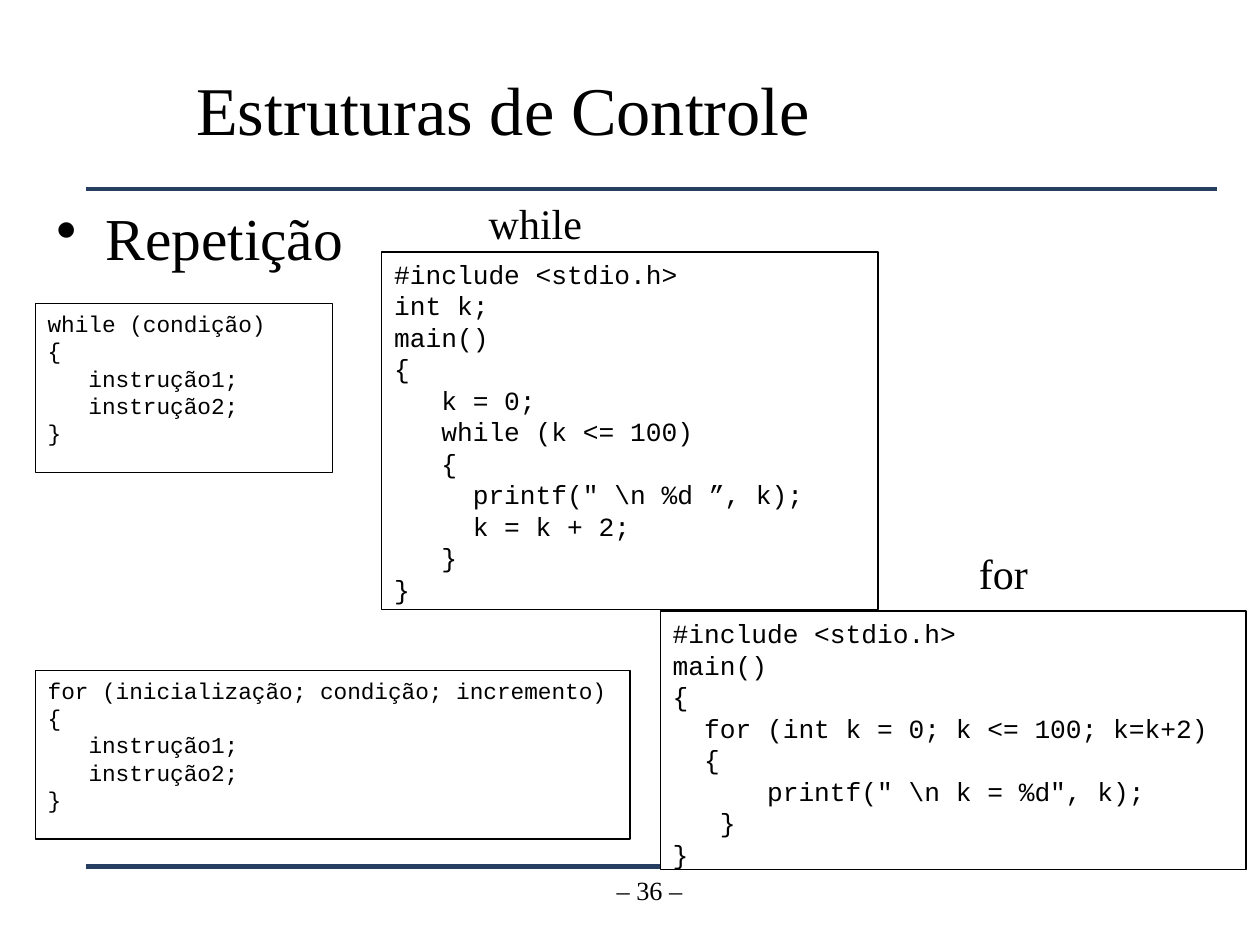
from pptx import Presentation
from pptx import util as u
from pptx.dml.color import RGBColor
from pptx.enum import shapes, text
from pptx.oxml.xmlchemy import OxmlElement

theme = {
    "ink": RGBColor(0, 0, 0), "paper": RGBColor(255, 255, 255),
    "rule": RGBColor(0x26, 0x3E, 0x60),
    "serif": "Times New Roman", "mono": "Courier New",
    "title": 39, "body": 34, "label": 24, "code": 15, "form": 13, "page": 15,
}
left, mid = text.PP_ALIGN.LEFT, text.PP_ALIGN.CENTER
top, center = text.MSO_ANCHOR.TOP, text.MSO_ANCHOR.MIDDLE


def write(shape, lines, face, size, align=left, anchor=top, wrap=True):
    frame = shape.text_frame
    frame.text = lines
    look = {"word_wrap": wrap, "vertical_anchor": anchor,
            "margin_left": u.Inches(0.1), "margin_right": u.Inches(0.1),
            "margin_top": u.Inches(0.05), "margin_bottom": u.Inches(0.05)}
    for key, val in look.items():
        setattr(frame, key, val)
    for para in frame.paragraphs:
        para.alignment = align
        for run in para.runs:
            for key, val in {"name": theme[face], "size": u.Pt(theme[size])}.items():
                setattr(run.font, key, val)
            run.font.color.rgb = theme["ink"]
    return frame


deck = Presentation()
for key, val in {"slide_width": 10, "slide_height": 7.5}.items():
    setattr(deck, key, u.Inches(val))
slide = deck.slides.add_slide(deck.slide_layouts[6])

for y in (1.5, 6.88):
    rule = slide.shapes.add_connector(
        shapes.MSO_CONNECTOR.STRAIGHT, *map(u.Inches, (0.68, y, 9.66, y)))
    rule.line.color.rgb = theme["rule"]
    rule.line.width = u.Pt(2.83)
    rule._element.spPr.append(OxmlElement("a:effectLst"))

topic = slide.shapes.add_textbox(*map(u.Inches, (0.35, 1.55, 8.96, 0.82)))
item = write(topic, "Repetição", "serif", "body").paragraphs[0]
item.space_before = u.Pt(6)
props = item._p.get_or_add_pPr()
for key, val in {"marL": 0.39, "indent": -0.39}.items():
    props.set(key, str(u.Inches(val)))
bullet = OxmlElement("a:buChar")
bullet.set("char", "•")
props.append(bullet)

page = slide.shapes.add_textbox(*map(u.Inches, (3.99, 6.89, 2.33, 0.52)))
write(page, "– 36 –", "serif", "page", align=mid)
title = slide.shapes.add_textbox(*map(u.Inches, (1.46, 0.32, 9.06, 1.07)))
write(title, "Estruturas de Controle", "serif", "title", anchor=center)

while_form = """while (condição)
{
   instrução1;
   instrução2;
}"""
while_code = r"""#include <stdio.h>
int k;
main()
{
   k = 0;
   while (k <= 100)
   {
     printf(" \n %d ”, k);
     k = k + 2;
   }
}"""
for_form = """for (inicialização; condição; incremento)
{
   instrução1;
   instrução2;
}"""
for_code = r"""#include <stdio.h>
main()
{
  for (int k = 0; k <= 100; k=k+2)
  {
      printf(" \n k = %d", k);
   }
}"""

for area, code, size in (
    ((0.28, 2.41, 2.36, 1.34), while_form, "form"),
    ((3.03, 2, 3.94, 2.84), while_code, "code"),
    ((0.28, 5.32, 4.72, 1.34), for_form, "form"),
    ((5.24, 4.85, 4.65, 2.05), for_code, "code"),
):
    box = slide.shapes.add_shape(
        shapes.MSO_SHAPE.RECTANGLE, *map(u.Inches, area))
    box.shadow.inherit = False
    box.fill.solid()
    box.fill.fore_color.rgb = theme["paper"]
    box.line.color.rgb = theme["ink"]
    box.line.width = u.Pt(0.75)
    write(box, code, "mono", size)

for area, word in (((3.78, 1.52, 0.95, 0.5), "while"), ((7.67, 4.3, 0.59, 0.5), "for")):
    label = slide.shapes.add_textbox(*map(u.Inches, area))
    frame = write(label, word, "serif", "label", wrap=False)
    frame.auto_size = text.MSO_AUTO_SIZE.SHAPE_TO_FIT_TEXT

deck.save("out.pptx")
